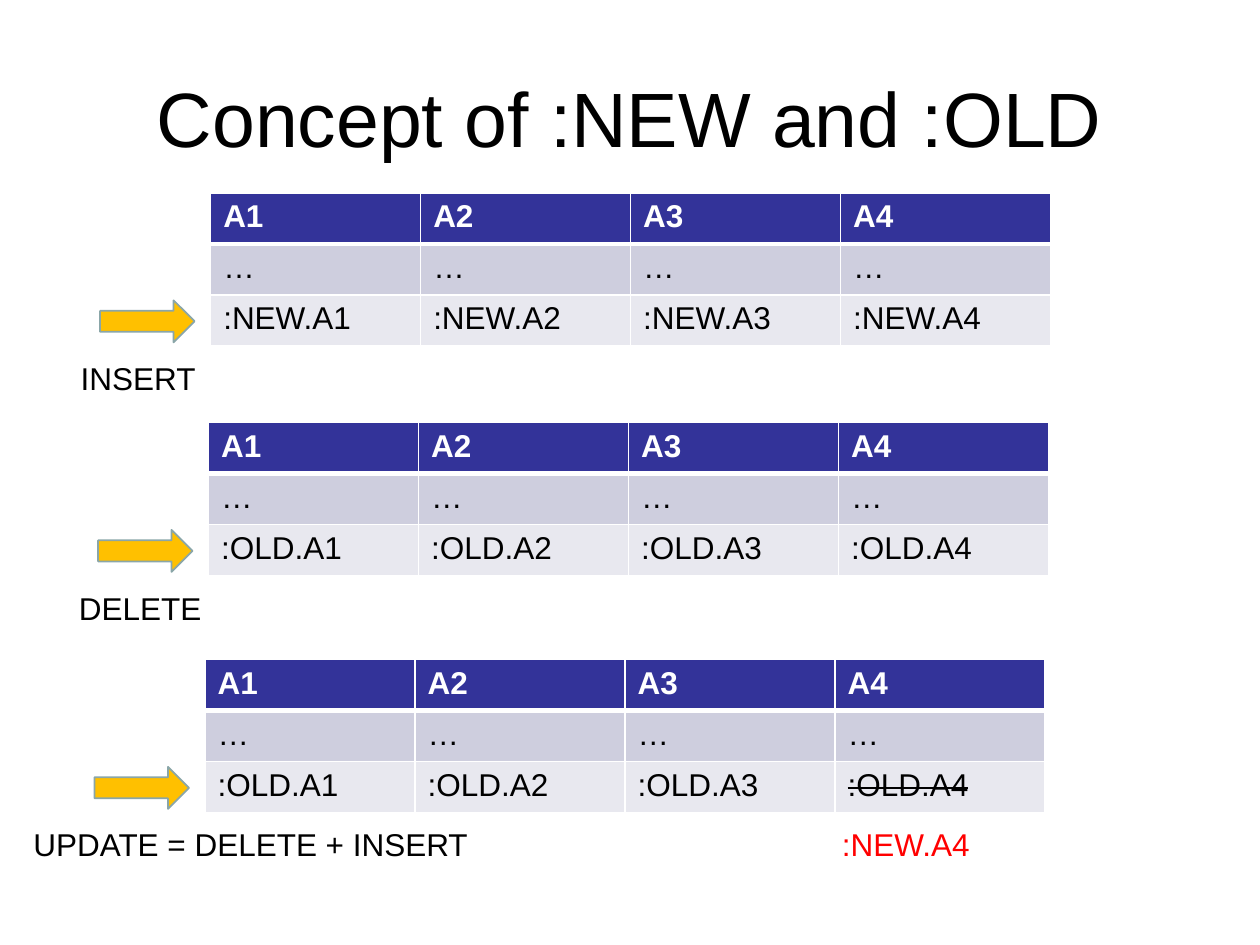
"""Build the slide explaining :NEW and :OLD for INSERT, DELETE and UPDATE."""
from lxml import etree
from pptx import Presentation
from pptx.dml.color import RGBColor
from pptx.enum.shapes import MSO_SHAPE
from pptx.enum.text import MSO_ANCHOR, MSO_AUTO_SIZE, PP_ALIGN
from pptx.oxml.ns import qn
from pptx.util import Pt

ARROW = MSO_SHAPE.RIGHT_ARROW
MIDDLE = MSO_ANCHOR.MIDDLE
CENTER = PP_ALIGN.CENTER
GROW = MSO_AUTO_SIZE.SHAPE_TO_FIT_TEXT
COLORS = {
    "header": "333399", "band": "CECEDE", "light": "E8E8EF",
    "white": "FFFFFF", "black": "000000", "red": "FF0000",
    "arrow": "FFC000", "outline": "8AA6A8",
}
COLORS_RGB = {name: RGBColor.from_string(value) for name, value in COLORS.items()}
COLUMNS = ["A1", "A2", "A3", "A4"]
COL_W, ROW_H = 120, 29.2


def style(tf, color, size=18, bold=False):
    for p in tf.paragraphs:
        for r in p.runs:
            r.font.name = "Arial"
            r.font.size = Pt(size)
            r.font.bold = bold
            r.font.color.rgb = COLORS_RGB[color]


def add_borders(cell, bottom):
    tcPr = cell._tc.get_or_add_tcPr()
    widths = [("a:lnL", 1), ("a:lnR", 1), ("a:lnT", 1), ("a:lnB", bottom)]
    for i, (tag, width) in enumerate(widths):
        ln = etree.Element(qn(tag), w=str(Pt(width)))
        fill = etree.SubElement(ln, qn("a:solidFill"))
        etree.SubElement(fill, qn("a:srgbClr"), val=COLORS["white"])
        tcPr.insert(i, ln)


prs = Presentation()
prs.slide_width, prs.slide_height = Pt(720), Pt(540)
s = prs.slides.add_slide(prs.slide_layouts[5])

title = s.shapes.title
title.left, title.top, title.width, title.height = Pt(36), Pt(21.6), Pt(648), Pt(90)
tf = title.text_frame
tf.text = "Concept of :NEW and :OLD"
tf.vertical_anchor = MIDDLE
tf.paragraphs[0].alignment = CENTER
style(tf, "black", 44)

operations = [(120.4, 110.2, ":NEW"), (119.2, 241.4, ":OLD"), (117.2, 376.8, ":OLD")]
for left, top, prefix in operations:
    frame = s.shapes.add_table(3, 4, Pt(left), Pt(top), Pt(4 * COL_W), Pt(3 * ROW_H))
    table = frame.table
    rows = [
        (COLUMNS, "header", "white"),
        (["…"] * 4, "band", "black"),
        ([f"{prefix}.{name}" for name in COLUMNS], "light", "black"),
    ]
    for i, (texts, fill, color) in enumerate(rows):
        table.rows[i].height = Pt(ROW_H)
        for j, text in enumerate(texts):
            cell = table.cell(i, j)
            cell.text_frame.text = text
            style(cell.text_frame, color, bold=i == 0)
            cell.fill.solid()
            cell.fill.fore_color.rgb = COLORS_RGB[fill]
            add_borders(cell, 3 if i == 0 else 1)

    arrow = s.shapes.add_shape(ARROW, Pt(left - 63.2), Pt(top + 61.4), Pt(54), Pt(24))
    arrow.shadow.inherit = False
    arrow.fill.solid()
    arrow.fill.fore_color.rgb = COLORS_RGB["arrow"]
    arrow.line.color.rgb = COLORS_RGB["outline"]
    arrow.line.width = Pt(1)

replaced = table.cell(2, 3).text_frame.paragraphs[0].runs[0]
replaced._r.get_or_add_rPr().set("strike", "sngStrike")

labels = [
    ("INSERT", 39, 201.8, 90, "black"),
    ("DELETE", 38, 333, 90, "black"),
    ("UPDATE = DELETE + INSERT", 12, 468, 300, "black"),
    (":NEW.A4", 474, 468, 108, "red"),
]
for text, left, top, width, color in labels:
    tf = s.shapes.add_textbox(Pt(left), Pt(top), Pt(width), Pt(29)).text_frame
    tf.word_wrap = True
    tf.auto_size = GROW
    tf.text = text
    style(tf, color)

prs.save("out.pptx")
